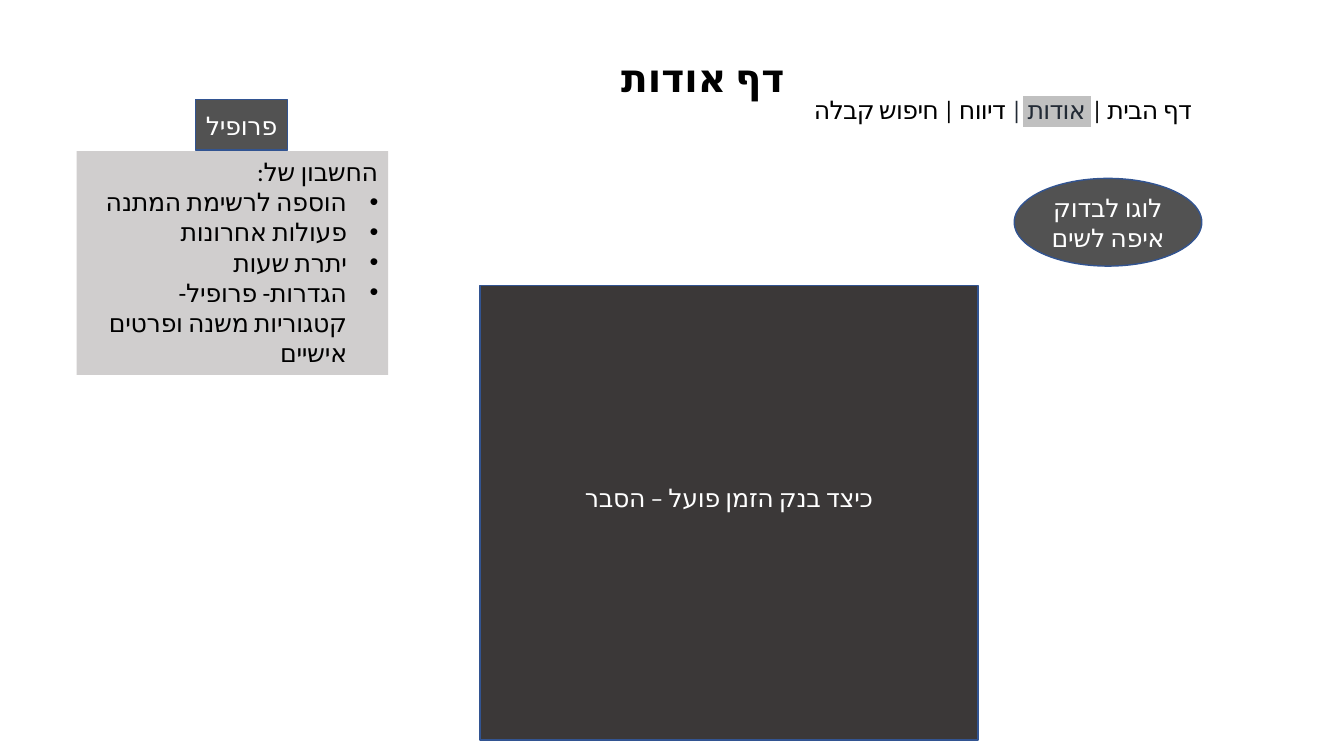
"""Build the wireframe slide of the Hebrew about page."""
from dataclasses import dataclass
from typing import Optional

from lxml import etree
from pptx import Presentation
from pptx.dml.color import RGBColor
from pptx.enum import shapes, text
from pptx.oxml import ns
from pptx.util import Inches, Pt

BLACK = RGBColor(0x00, 0x00, 0x00)
WHITE = RGBColor(0xFF, 0xFF, 0xFF)
NAVY = RGBColor(0x22, 0x2A, 0x35)
OUTLINE = RGBColor(0x32, 0x54, 0x91)
GRAY = RGBColor(0x52, 0x52, 0x52)
CHARCOAL = RGBColor(0x3B, 0x38, 0x38)
LIGHT = RGBColor(0xD0, 0xCE, 0xCE)
SILVER = RGBColor(0xC0, 0xC0, 0xC0)
FONT = "Calibri"
BULLET_INDENT = Inches(0.31)


@dataclass(frozen=True)
class Span:
    """A stretch of text with its colour and optional highlight."""
    words: str
    color: RGBColor = BLACK
    highlight: Optional[RGBColor] = None


@dataclass(frozen=True)
class Block:
    """A filled, outlined shape with a centred label."""
    kind: shapes.MSO_SHAPE
    box: tuple[float, float, float, float]
    fill: RGBColor
    label: str
    bottom_inset: float = 0.05


def write(paragraph, spans: list[Span], *, size: float = 18, bold: bool = False,
          align=text.PP_ALIGN.RIGHT, bullet: bool = False, tracking: float = -0.2) -> None:
    """Write right-to-left spans into a paragraph."""
    paragraph.alignment = align
    properties = paragraph._p.get_or_add_pPr()
    properties.set("rtl", "1")
    if bullet:
        properties.set("marL", str(BULLET_INDENT))
        properties.set("indent", str(-BULLET_INDENT))
        etree.SubElement(properties, ns.qn("a:buFont"), typeface="Arial")
        etree.SubElement(properties, ns.qn("a:buChar"), char="•")
    for span in spans:
        run = paragraph.add_run()
        run.text = span.words
        font = run.font
        font.size, font.bold, font.name = Pt(size), bold, FONT
        font.color.rgb = span.color
        style = run._r.get_or_add_rPr()
        style.set("lang", "he-IL")
        style.set("spc", str(round(tracking * 100)))
        script_font = etree.Element(ns.qn("a:cs"), typeface=FONT)
        style.find(ns.qn("a:latin")).addnext(script_font)
        if span.highlight is not None:
            marker = etree.Element(ns.qn("a:highlight"))
            etree.SubElement(marker, ns.qn("a:srgbClr"), val=str(span.highlight))
            style.find(ns.qn("a:solidFill")).addnext(marker)


def add_line(slide, box: tuple[float, float, float, float], spans: list[Span],
             **style) -> None:
    """Add a text box holding one line."""
    frame = slide.shapes.add_textbox(*map(Inches, box)).text_frame
    frame.word_wrap = True
    frame.auto_size = text.MSO_AUTO_SIZE.SHAPE_TO_FIT_TEXT
    write(frame.paragraphs[0], spans, **style)


def add_filled(slide, kind, box: tuple[float, float, float, float], fill: RGBColor):
    """Add a flat filled shape without an outline."""
    shape = slide.shapes.add_shape(kind, *map(Inches, box))
    shape.shadow.inherit = False
    shape.fill.solid()
    shape.fill.fore_color.rgb = fill
    shape.line.fill.background()
    shape.text_frame.word_wrap = True
    return shape


def add_block(slide, block: Block) -> None:
    """Add an outlined shape with its label."""
    shape = add_filled(slide, block.kind, block.box, block.fill)
    shape.line.color.rgb = OUTLINE
    shape.line.width = Pt(1)
    frame = shape.text_frame
    frame.vertical_anchor = text.MSO_ANCHOR.MIDDLE
    frame.margin_left = frame.margin_right = Inches(0.02)
    frame.margin_bottom = Inches(block.bottom_inset)
    write(frame.paragraphs[0], [Span(block.label, WHITE)], align=text.PP_ALIGN.CENTER)


def add_account(slide, heading: str, entries: list[str]) -> None:
    """Add the account menu with its bulleted entries."""
    menu = add_filled(slide, shapes.MSO_SHAPE.RECTANGLE, (0.76, 1.5, 3.09, 2.22), LIGHT)
    frame = menu.text_frame
    frame.vertical_anchor = text.MSO_ANCHOR.TOP
    frame.auto_size = text.MSO_AUTO_SIZE.SHAPE_TO_FIT_TEXT
    write(frame.paragraphs[0], [Span(heading)])
    for entry in entries:
        write(frame.add_paragraph(), [Span(entry)], bullet=True)


LOGO = Block(shapes.MSO_SHAPE.OVAL, (10.06, 1.77, 1.86, 0.87), GRAY, "לוגו לבדוק איפה לשים")
PROFILE = Block(shapes.MSO_SHAPE.RECTANGLE, (1.94, 0.99, 0.91, 0.5), GRAY, "פרופיל")
EXPLANATION = Block(shapes.MSO_SHAPE.RECTANGLE, (4.76, 2.83, 4.94, 4.51), CHARCOAL,
                    "כיצד בנק הזמן פועל – הסבר", bottom_inset=0.35)
NAVIGATION = [
    Span("דף הבית |"),
    Span(" ", BLACK, SILVER),
    Span("אודות ", NAVY, SILVER),
    Span("|", NAVY),
    Span(" דיווח | חיפוש קבלה"),
]
ACCOUNT_ENTRIES = [
    "הוספה לרשימת המתנה",
    "פעולות אחרונות",
    "יתרת שעות",
    "הגדרות- פרופיל- קטגוריות משנה ופרטים אישיים",
]

presentation = Presentation()
presentation.slide_width, presentation.slide_height = Inches(13.33), Inches(7.5)
about = presentation.slides.add_slide(presentation.slide_layouts[6])
add_line(about, (3.39, 0.48, 4.49, 0.57), [Span("דף אודות")], size=28, bold=True, tracking=0)
add_line(about, (7.43, 0.89, 4.49, 0.4), NAVIGATION, tracking=-0.5)
for part in (LOGO, PROFILE):
    add_block(about, part)
add_account(about, "החשבון של:", ACCOUNT_ENTRIES)
add_block(about, EXPLANATION)
presentation.save("out.pptx")
